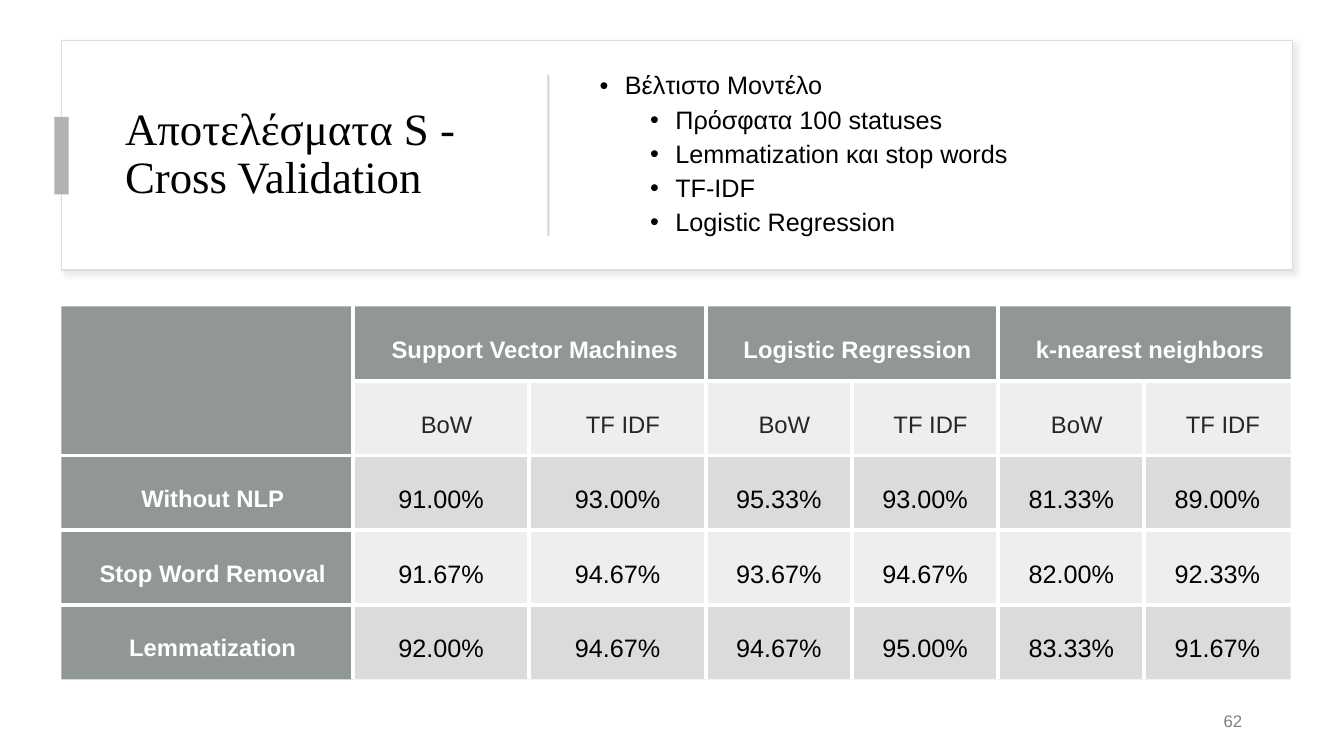
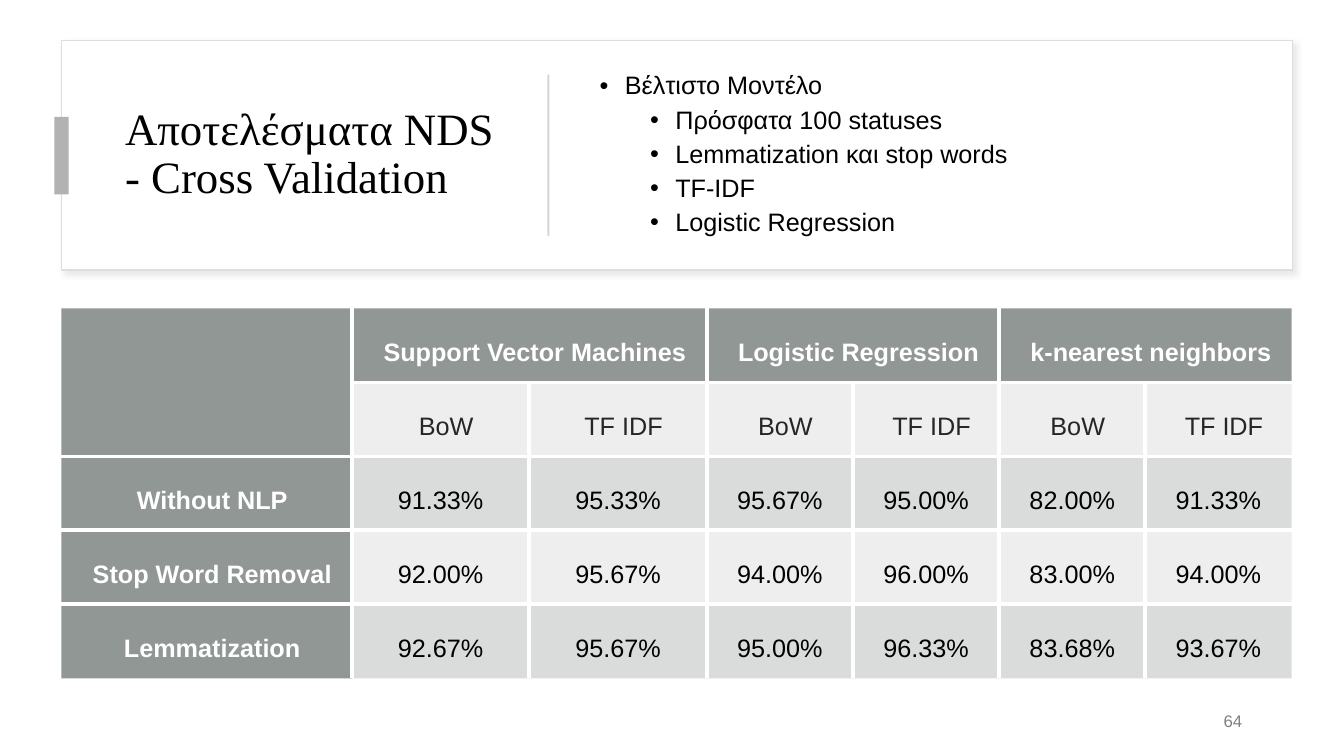
from lxml import etree
from pptx import Presentation
from pptx import util as u
from pptx.dml.color import RGBColor
from pptx.enum import shapes, text
from pptx.oxml.ns import qn

PX = 9144  # EMU in one px, 100 px to the inch
COLORS = {
    "card": "FFFFFF", "edge": "DEDEDE", "shadow": "D3D3D3",
    "accent": "B2B2B2", "divider": "D5D5D5", "ink": "000000",
    "label": "262626", "page": "808080", "white": "FFFFFF",
    "head": "636B68", "body": "878E8B",
}
NO_STYLE = "{2D5ABB26-0587-4C30-8999-92F81FD0307C}"
CARD = (61, 40, 1221, 228)
PAGE_BOX = (942, 695, 300, 40)
TITLE = {"size": 32, "name": "Times New Roman", "color": "ink"}
BULLET = {"size": 18, "name": "Arial", "color": "ink"}
PAGE = {"size": 12, "name": "Arial", "color": "page"}

MODELS = ["Support Vector Machines", "Logistic Regression", "k-nearest neighbors"]
FEATURES = ["BoW", "TF IDF"]
STEPS = ["Without NLP", "Stop Word Removal", "Lemmatization"]
BEST_MODEL = ["Βέλτιστο Μοντέλο", "Πρόσφατα 100 statuses",
              "Lemmatization και stop words", "TF-IDF", "Logistic Regression"]

SLIDES = [
    {"title": "Αποτελέσματα S - Cross Validation", "page": "62",
     "box": (61, 304, 1221, 370), "cols": [289, 175, 175, 145, 145, 145, 145],
     "label_size": 17, "pads": (27, 16, 7),
     "scores": [[91.00, 93.00, 95.33, 93.00, 81.33, 89.00],
                [91.67, 94.67, 93.67, 94.67, 82.00, 92.33],
                [92.00, 94.67, 94.67, 95.00, 83.33, 91.67]]},
    {"title": "Αποτελέσματα NDS - Cross Validation", "page": "64",
     "box": (61, 306, 1221, 367), "cols": [288, 176, 176, 145, 145, 145, 145],
     "label_size": 18, "pads": (26, 15, 6),
     "scores": [[91.33, 95.33, 95.67, 95.00, 82.00, 91.33],
                [92.00, 95.67, 94.00, 96.00, 83.00, 94.00],
                [92.67, 95.67, 95.00, 96.33, 83.68, 93.67]]},
]


def rgb(name):
    return RGBColor.from_string(COLORS[name])


def emu(*lengths):
    return [u.Emu(n * PX) for n in lengths]


def element(parent, tag, **attrs):
    return etree.SubElement(parent, qn(tag), {k: str(v) for k, v in attrs.items()})


def write(p, words, style, **layout):
    """Put one formatted run in a paragraph."""
    for name, value in layout.items():
        setattr(p, name, value)
    r = p.add_run()
    r.text = words
    for name, value in style.items():
        if name == "color":
            r.font.color.rgb = rgb(value)
        else:
            setattr(r.font, name, u.Pt(value) if name == "size" else value)


def frame(sp):
    tf = sp.text_frame
    for name, value in {"word_wrap": True, "auto_size": text.MSO_AUTO_SIZE.NONE,
                        "vertical_anchor": text.MSO_ANCHOR.MIDDLE}.items():
        setattr(tf, name, value)
    return tf


def rect(slide, box, fill, line=None):
    sp = slide.shapes.add_shape(shapes.MSO_SHAPE.RECTANGLE, *emu(*box))
    sp.shadow.inherit = False
    sp.fill.solid()
    sp.fill.fore_color.rgb = rgb(fill)
    if line:
        sp.line.color.rgb = rgb(line)
        sp.line.width = u.Pt(1)
    else:
        sp.line.fill.background()
    return sp


def header_card(slide, box, title, bullets):
    x, y, w, h = box
    # Card with a soft shadow
    card = rect(slide, box, "card", "edge")
    effects = card._element.spPr.find(qn("a:effectLst"))
    shadow = element(effects, "a:outerShdw", blurRad=u.Pt(4), dist=u.Pt(3),
                     dir=45 * 60000, algn="tl", rotWithShape=0)
    color = element(shadow, "a:srgbClr", val=COLORS["shadow"])
    element(color, "a:alpha", val=50000)

    # Title placeholder, raised above the card
    sp = slide.shapes.title
    sp.left, sp.top, sp.width, sp.height = emu(x + 53, y + 24, 389, h - 48)
    card._element.addnext(sp._element)
    write(frame(sp).paragraphs[0], title, TITLE,
          alignment=text.PP_ALIGN.LEFT, line_spacing=0.9)

    # Accent tab and divider
    rect(slide, (x - 7, y + 76, 14, 77), "accent")
    rect(slide, (x + 482, y + 34, 2, 160), "divider")

    # Bullets: one heading, the rest a level below
    tf = frame(slide.shapes.add_textbox(*emu(x + 524, y + 24, 656, h - 48)))
    for i, words in enumerate(bullets):
        p = tf.add_paragraph() if i else tf.paragraphs[0]
        level = min(i, 1)
        pPr = p._p.get_or_add_pPr()
        pPr.set("marL", str((25 + 50 * level) * PX))
        pPr.set("indent", str(-25 * PX))
        element(pPr, "a:buFont", typeface="Arial")
        element(pPr, "a:buChar", char="•")
        write(p, words, BULLET, level=level, line_spacing=0.9,
              space_before=u.Pt(5 * level))


def style_cell(cell, fill, alpha, margins, sides):
    """Set a translucent fill, margins and white rules on the given sides."""
    cell.vertical_anchor = text.MSO_ANCHOR.MIDDLE
    for name, value in zip(("left", "top", "right", "bottom"), emu(*margins)):
        setattr(cell, "margin_" + name, value)
    cell.fill.solid()
    cell.fill.fore_color.rgb = rgb(fill)
    tcPr = cell._tc.get_or_add_tcPr()
    element(tcPr.find(".//" + qn("a:srgbClr")), "a:alpha", val=alpha * 1000)
    for i, side in enumerate(sides):
        ln = element(tcPr, "a:ln" + side, w=u.Pt(3))
        element(element(ln, "a:solidFill"), "a:srgbClr", val=COLORS["white"])
        tcPr.insert(i, ln)


def score_table(slide, box, cols, label_size, pads, scores):
    # Each row as words; merged-away cells stay empty
    rows = [[""] + [s for m in MODELS for s in (m, "")],
            [""] + FEATURES * len(MODELS)]
    rows += [[step] + [f"{v:.2f}%" for v in vals] for step, vals in zip(STEPS, scores)]
    n_rows, n_cols = len(rows), len(cols)

    table = slide.shapes.add_table(n_rows, n_cols, *emu(*box)).table
    table.first_row = table.horz_banding = False
    table._tbl.tblPr.find(qn("a:tableStyleId")).text = NO_STYLE
    for column, width in zip(table.columns, cols):
        column.width = u.Emu(width * PX)
    for row in table.rows:
        row.height = u.Emu(box[3] * PX // n_rows)

    table.cell(0, 0).merge(table.cell(1, 0))
    for c in range(1, n_cols, 2):
        table.cell(0, c).merge(table.cell(0, c + 1))

    left, pad, slim = pads
    wide, narrow = (left, pad, pad, pad), (slim, 0, slim, 0)
    head = {"size": label_size, "name": "Arial", "color": "white", "bold": True}
    label = {**head, "color": "label", "bold": False}
    score = {**label, "size": 18, "color": "ink"}
    for i, row in enumerate(rows):
        for c, words in enumerate(row):
            cell = table.cell(i, c)
            if cell.is_spanned:
                continue
            if i == 0 or c == 0:
                fill, alpha, margins, style = "head", 70, wide, head
            else:
                fill, alpha = "body", 15 if i % 2 else 30
                margins, style = (wide, label) if i == 1 else (narrow, score)
            # Rules run only between cells
            width = cell.span_width if cell.is_merge_origin else 1
            height = cell.span_height if cell.is_merge_origin else 1
            inner = {"L": c > 0, "R": c + width < n_cols,
                     "T": i > 0, "B": i + height < n_rows}
            style_cell(cell, fill, alpha, margins, [s for s in inner if inner[s]])
            if words:
                write(cell.text_frame.paragraphs[0], words, style,
                      alignment=text.PP_ALIGN.CENTER, line_spacing=1.5)


def page_number(slide, box, number):
    tf = frame(slide.shapes.add_textbox(*emu(*box)))
    write(tf.paragraphs[0], number, PAGE, alignment=text.PP_ALIGN.RIGHT)


def results_slide(prs, data):
    slide = prs.slides.add_slide(prs.slide_layouts[5])
    header_card(slide, CARD, data["title"], BEST_MODEL)
    page_number(slide, PAGE_BOX, data["page"])
    score_table(slide, data["box"], data["cols"], data["label_size"],
                data["pads"], data["scores"])


def main():
    prs = Presentation()
    prs.slide_width, prs.slide_height = u.Inches(13.33), u.Inches(7.5)
    for data in SLIDES:
        results_slide(prs, data)
    prs.save("out.pptx")


if __name__ == "__main__":
    main()
